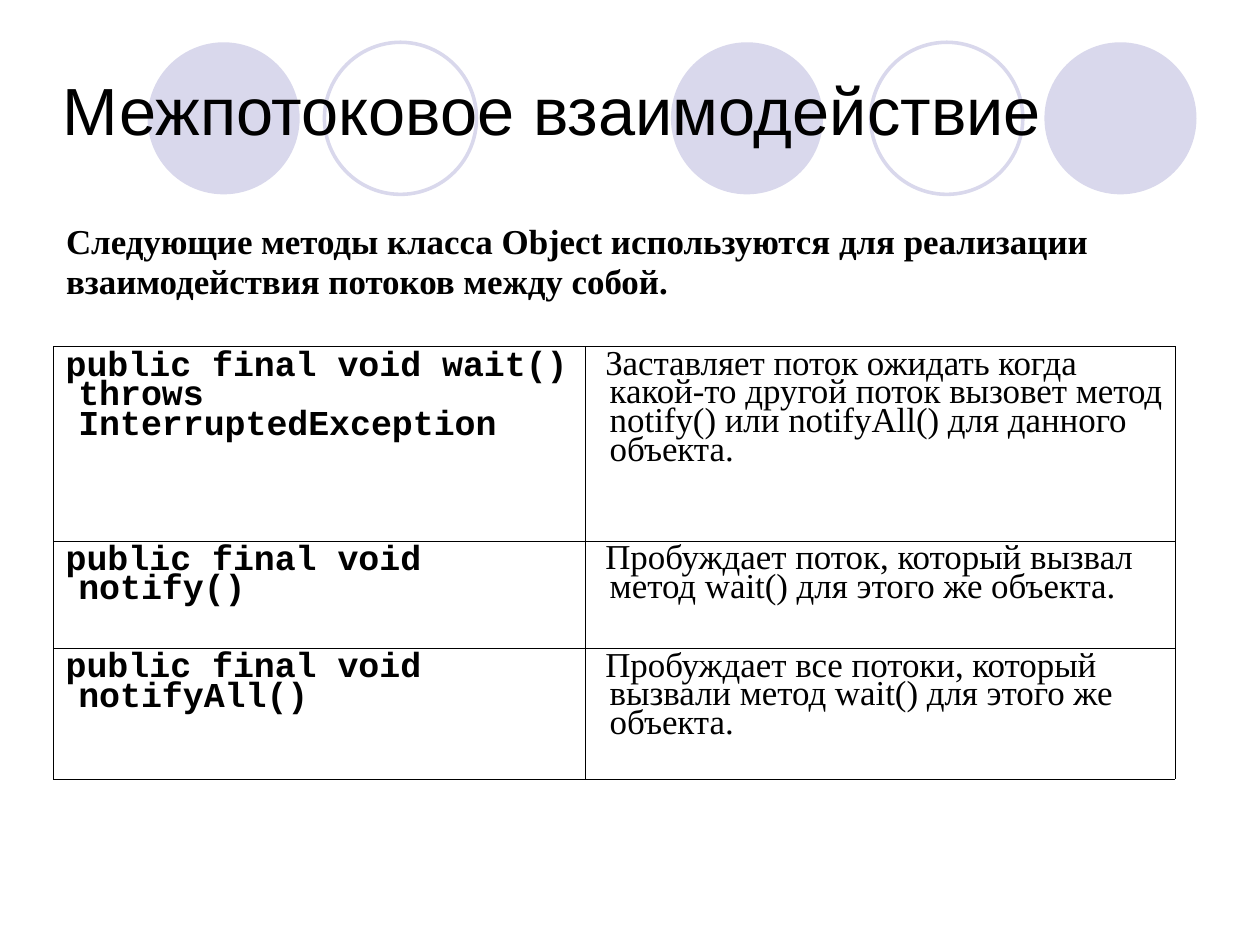
import pptx
import pptx.util
import pptx.dml.color
import pptx.enum.shapes
import pptx.enum.text
import lxml.etree

Cm = pptx.util.Cm
Pt = pptx.util.Pt
A = "{http://schemas.openxmlformats.org/drawingml/2006/main}"
BLACK = "000000"
LILAC = "D9D8EC"
METHODS = [
    ("public final void wait() throws InterruptedException",
     "Заставляет поток ожидать когда какой-то другой поток вызовет метод "
     "notify() или notifyAll() для данного объекта."),
    ("public final void notify()",
     "Пробуждает поток, который вызвал метод wait() для этого же объекта."),
    ("public final void notifyAll()",
     "Пробуждает все потоки, который вызвали метод wait() для этого же объекта."),
]


def rgb(color):
    return pptx.dml.color.RGBColor.from_string(color)


def set_text(tf, text, font, size, bold, spacing):
    tf.word_wrap = True
    p = tf.paragraphs[0]
    p.text = text
    p.alignment = pptx.enum.text.PP_ALIGN.LEFT
    p.line_spacing = spacing
    p.font.name = font
    p.font.size = Pt(size)
    p.font.bold = bold
    p.font.color.rgb = rgb(BLACK)
    return p


def set_margins(tf, x, y):
    tf.margin_left = tf.margin_right = Cm(x)
    tf.margin_top = tf.margin_bottom = Cm(y)


def add_circles(s, left, top, size):
    for offset, filled in [(0, True), (3.93, False), (11.63, True),
                           (16.07, False), (19.93, True)]:
        sp = s.shapes.add_shape(pptx.enum.shapes.MSO_SHAPE.OVAL, Cm(left + offset),
                                Cm(top), Cm(size), Cm(size))
        sp.shadow.inherit = False
        if filled:
            sp.fill.solid()
            sp.fill.fore_color.rgb = rgb(LILAC)
            sp.line.fill.background()
        else:
            sp.fill.background()
            sp.line.color.rgb = rgb(LILAC)
            sp.line.width = Pt(2.25)


def add_title(s, left, top, width, height):
    sp = s.shapes.title
    sp.left, sp.top, sp.width, sp.height = Cm(left), Cm(top), Cm(width), Cm(height)
    s.shapes.element.append(sp.element)
    tf = sp.text_frame
    set_margins(tf, 0, 0)
    tf.vertical_anchor = pptx.enum.text.MSO_ANCHOR.MIDDLE
    tf.auto_size = pptx.enum.text.MSO_AUTO_SIZE.NONE
    set_text(tf, "Межпотоковое взаимодействие", "Arial", 42, False, 0.8)


def add_intro(s, left, top, width, height):
    sp = s.shapes.add_textbox(Cm(left), Cm(top), Cm(width), Cm(height))
    set_margins(sp.text_frame, 0.28, 0.15)
    set_text(sp.text_frame,
             "Следующие методы класса Object используются для реализации "
             "взаимодействия потоков между собой.",
             "Times New Roman", 22, True, 0.95)


def set_borders(cell, widths):
    tc_pr = cell._tc.get_or_add_tcPr()
    for side, width in zip("LRTB", widths):
        ln = lxml.etree.SubElement(tc_pr, f"{A}ln{side}", w=str(Pt(width)))
        fill = lxml.etree.SubElement(ln, f"{A}solidFill")
        lxml.etree.SubElement(fill, f"{A}srgbClr", val=BLACK)


def add_methods(s, left, top, widths, heights):
    table = s.shapes.add_table(len(heights), len(widths), Cm(left), Cm(top),
                               Cm(sum(widths)), Cm(sum(heights))).table
    table.first_row = table.horz_banding = False
    for column, width in zip(table.columns, widths):
        column.width = Cm(width)
    for row, height in zip(table.rows, heights):
        row.height = Cm(height)
    formats = [("Courier New", True, 0.75, 0, -0.28),
               ("Times New Roman", False, 0.74, 5, -0.1)]
    last_row, last_col = len(heights) - 1, len(widths) - 1
    for i, texts in enumerate(METHODS):
        for j, (text, style) in enumerate(zip(texts, formats)):
            font, bold, spacing, before, indent = style
            cell = table.cell(i, j)
            set_margins(cell, 0.25, 0.13)
            edges = [j == 0, j == last_col, i == 0, i == last_row]
            set_borders(cell, [0.5 if edge else 0.23 for edge in edges])
            cell.fill.background()
            p = set_text(cell.text_frame, text, font, 22, bold, spacing)
            p.space_before = Pt(before)
            p_pr = p._p.get_or_add_pPr()
            p_pr.set("marL", str(Cm(0.3)))
            p_pr.set("indent", str(Cm(indent)))


def main():
    prs = pptx.Presentation()
    prs.slide_width, prs.slide_height = Cm(28), Cm(21)
    s = prs.slides.add_slide(prs.slide_layouts[5])
    add_circles(s, 3.28, 0.94, 3.38)
    add_title(s, 1.4, 0.84, 25.2, 3.5)
    add_methods(s, 1.19, 7.7, [11.81, 13.11], [4.32, 2.39, 2.9])
    add_intro(s, 1.19, 4.8, 24.92, 2.06)
    prs.save("out.pptx")


if __name__ == "__main__":
    main()
